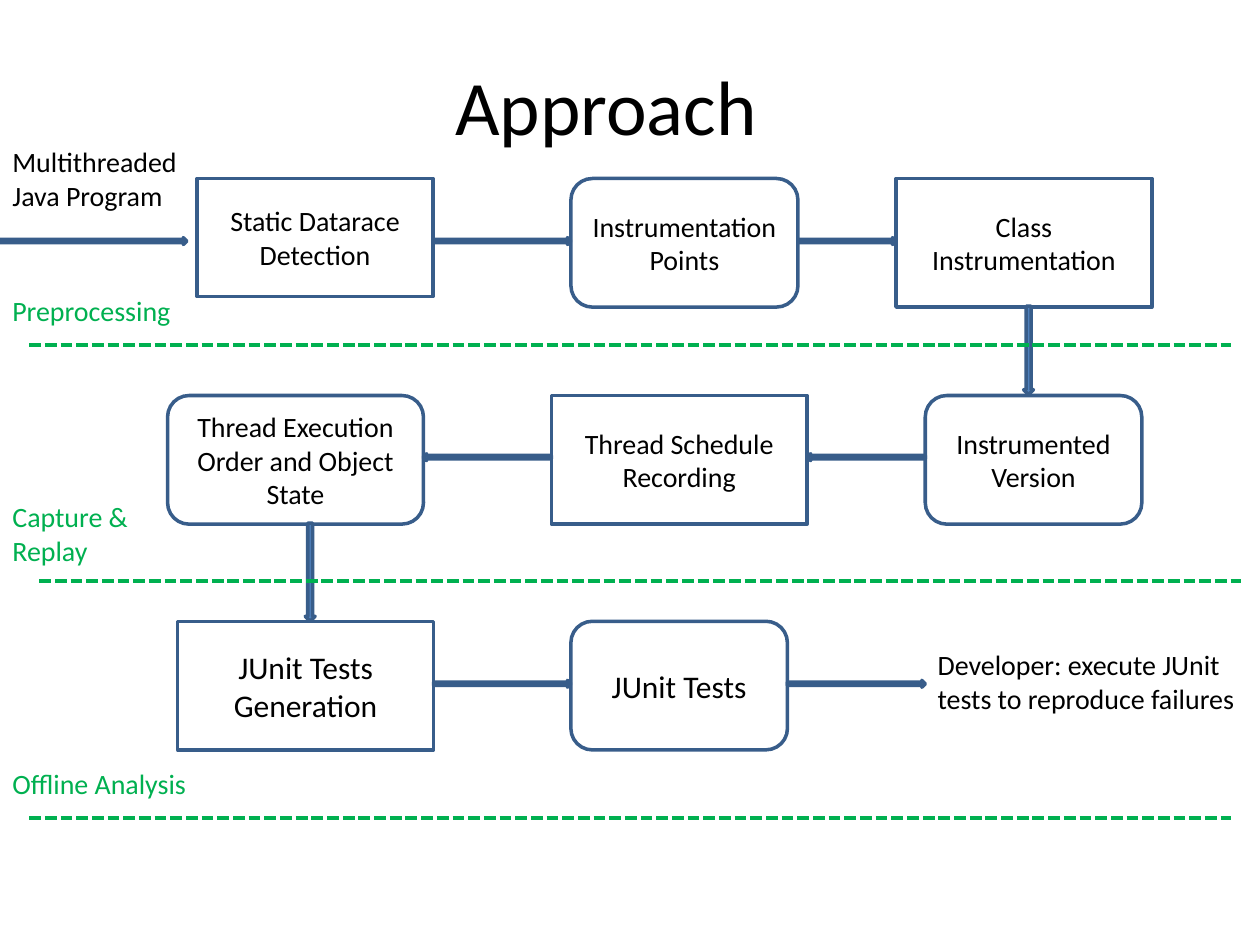
from dataclasses import dataclass

import pptx
import pptx.dml.color
import pptx.enum.dml
import pptx.enum.shapes
import pptx.enum.text
import pptx.oxml
import pptx.util

Pt = pptx.util.Pt
SHAPE = pptx.enum.shapes.MSO_SHAPE
ALIGN = pptx.enum.text.PP_ALIGN
ANCHOR = pptx.enum.text.MSO_ANCHOR
COLORS = {"ink": "000000", "paper": "FFFFFF", "arrow": "4F81BD",
          "outline": "385D8A", "phase": "00B050"}
ROW_TOPS = (102, 226, 355)
BOX_HEIGHT = 73.5


@dataclass
class Step:
    text: str
    row: int
    left: float
    width: float
    rounded: bool = False
    height: float = BOX_HEIGHT
    size: float = 16


@dataclass
class Arrow:
    start: tuple[float, float]
    length: float
    angle: int = 0
    thickness: float = 3.9


@dataclass
class Label:
    text: str
    left: float
    top: float
    width: float
    height: float
    color: str = "ink"


STEPS = [
    Step("Static Datarace Detection", 0, 112.5, 135, height=67.5),
    Step("Instrumentation Points", 0, 326.25, 129.75, rounded=True),
    Step("Class Instrumentation", 0, 512, 146.25),
    Step("Instrumented Version", 1, 528.75, 123.75, rounded=True),
    Step("Thread Schedule Recording", 1, 315, 146.25),
    Step("Thread Execution Order and Object State", 1, 95.75, 146.25, rounded=True),
    Step("JUnit Tests Generation", 2, 101.5, 146.25, size=18),
    Step("JUnit Tests", 2, 326.25, 123.75, rounded=True, size=18),
]
ARROWS = [
    Arrow((0, 137.75), 106.75),
    Arrow((247.75, 137.75), 78.5),
    Arrow((456, 137.75), 56),
    Arrow((587.75, 175), 50.5, 90, 5.6),
    Arrow((528.75, 261.25), 67.5, 180),
    Arrow((315, 261.25), 73.25, 180),
    Arrow((177.25, 299), 56, 90, 5.6),
    Arrow((247.75, 390.75), 78.5),
    Arrow((450, 390.75), 78.75),
]
LABELS = [
    Label("Developer: execute JUnit tests to reproduce failures", 528.75, 366.5, 191.25, 46),
    Label("Multithreaded Java Program", 0, 79, 120, 46),
    Label("Preprocessing", 0, 164.25, 106.75, 26.5, "phase"),
    Label("Capture & Replay", 0, 282, 118, 46, "phase"),
    Label("Offline Analysis", 0, 434.25, 118, 26.5, "phase"),
]
# Left end and height of each dashed phase line
DIVIDERS = [(16.75, 197.25), (22.5, 332.25), (16.75, 467.25)]
DIVIDER_LENGTH = 686.5


def rgb(name: str) -> pptx.dml.color.RGBColor:
    return pptx.dml.color.RGBColor.from_string(COLORS[name])


def write(frame, text: str, size: float, color: str = "ink", align=ALIGN.LEFT) -> None:
    frame.word_wrap = True
    para = frame.paragraphs[0]
    para.alignment = align
    span = para.add_run()
    span.text = text
    span.font.size = Pt(size)
    span.font.name = "Calibri"
    span.font.color.rgb = rgb(color)


def add_outlined(page, kind, left: float, top: float, width: float, height: float, fill: str):
    shape = page.shapes.add_shape(kind, Pt(left), Pt(top), Pt(width), Pt(height))
    shape.shadow.inherit = False
    shape.fill.solid()
    shape.fill.fore_color.rgb = rgb(fill)
    shape.line.color.rgb = rgb("outline")
    shape.line.width = Pt(2)
    return shape


def draw_step(page, step: Step) -> None:
    kind = SHAPE.ROUNDED_RECTANGLE if step.rounded else SHAPE.RECTANGLE
    box = add_outlined(page, kind, step.left, ROW_TOPS[step.row],
                       step.width, step.height, "paper")
    box.text_frame.vertical_anchor = ANCHOR.MIDDLE
    write(box.text_frame, step.text, step.size, align=ALIGN.CENTER)


def draw_arrow(page, arrow: Arrow) -> None:
    # Rotation turns the shape about its centre
    step_x, step_y = {0: (1, 0), 90: (0, 1), 180: (-1, 0)}[arrow.angle]
    center_x = arrow.start[0] + step_x * arrow.length / 2
    center_y = arrow.start[1] + step_y * arrow.length / 2
    shape = add_outlined(page, SHAPE.RIGHT_ARROW, center_x - arrow.length / 2,
                         center_y - arrow.thickness / 2,
                         arrow.length, arrow.thickness, "arrow")
    shape.rotation = arrow.angle


def draw_label(page, label: Label) -> None:
    box = page.shapes.add_textbox(Pt(label.left), Pt(label.top),
                                  Pt(label.width), Pt(label.height))
    write(box.text_frame, label.text, 16, label.color)


def draw_divider(page, left: float, top: float) -> None:
    line = page.shapes.add_connector(pptx.enum.shapes.MSO_CONNECTOR.STRAIGHT, Pt(left),
                                     Pt(top), Pt(left + DIVIDER_LENGTH), Pt(top))
    line.line.color.rgb = rgb("phase")
    line.line.width = Pt(2.25)
    line.line.dash_style = pptx.enum.dml.MSO_LINE.SQUARE_DOT
    line._element.spPr.append(pptx.oxml.parse_xml(
        '<a:effectLst xmlns:a="http://schemas.openxmlformats.org/drawingml/2006/main"/>'))


def main() -> None:
    deck = pptx.Presentation()
    deck.slide_width, deck.slide_height = Pt(720), Pt(540)
    page = deck.slides.add_slide(deck.slide_layouts[5])

    # Title
    title = page.shapes.title
    title.left, title.top, title.width, title.height = Pt(22.5), Pt(30), Pt(648), Pt(60)
    title.text_frame.vertical_anchor = ANCHOR.MIDDLE
    write(title.text_frame, "Approach", 44, align=ALIGN.CENTER)

    # Process flow
    for step in STEPS:
        draw_step(page, step)
    for arrow in ARROWS:
        draw_arrow(page, arrow)

    # Phases and captions
    for left, top in DIVIDERS:
        draw_divider(page, left, top)
    for label in LABELS:
        draw_label(page, label)

    deck.save("out.pptx")


if __name__ == "__main__":
    main()
